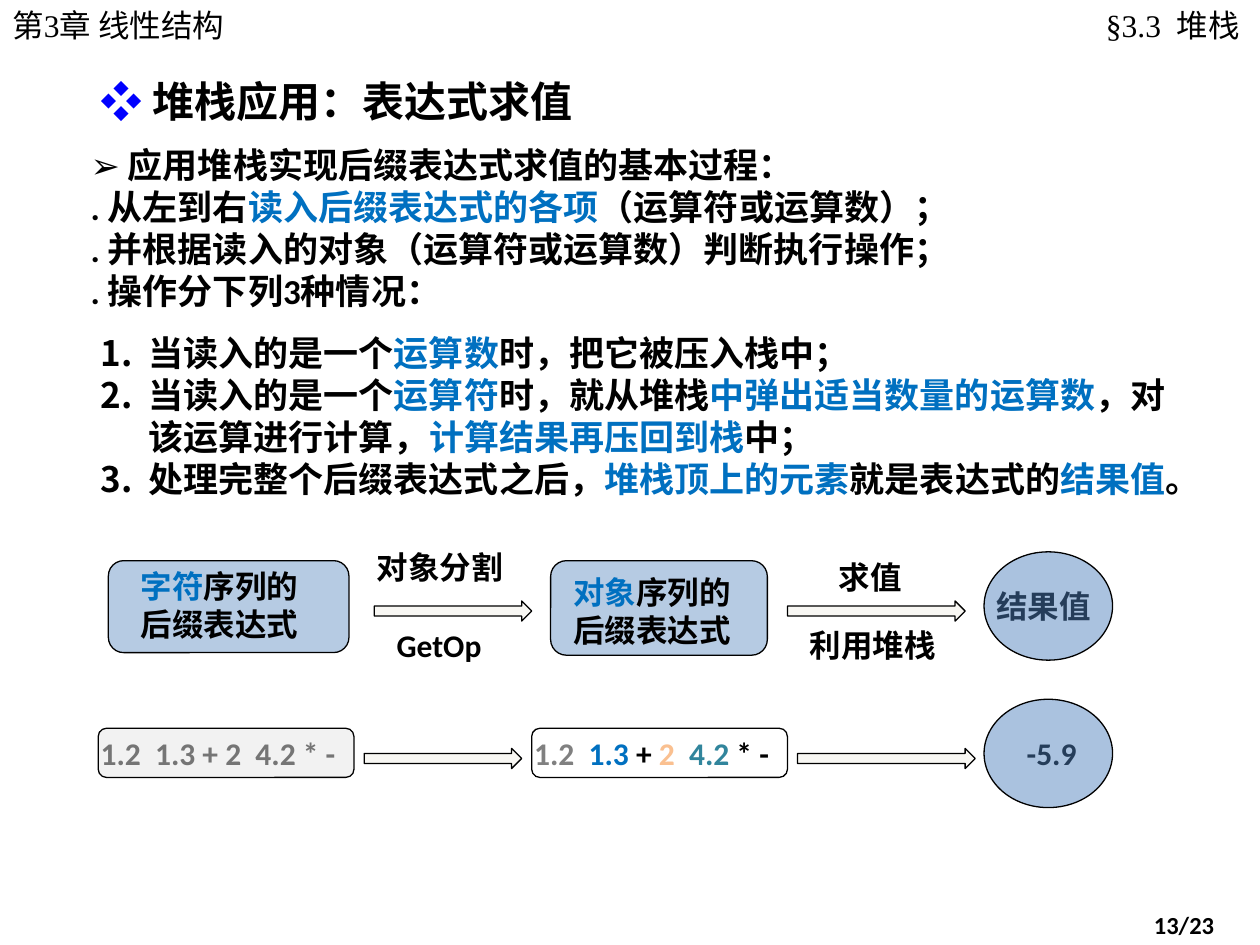
from lxml.etree import SubElement
from pptx import Presentation
from pptx.dml.color import RGBColor
from pptx.enum.shapes import MSO_SHAPE
from pptx.enum.text import MSO_ANCHOR, MSO_AUTO_SIZE, PP_ALIGN
from pptx.oxml.ns import qn
from pptx.util import Inches, Pt

COLORS = {
    "black": "000000", "bullet": "0000FF", "key": "0070C0", "gray": "808080",
    "peach": "FAC090", "teal": "31859C", "steel": "4F81BD", "arrow": "F8F7F3",
    "pale": "E6E6E6",
}

CHAPTER = "第3章 线性结构"
SECTION = "§3.3  堆栈"
PAGE_NUMBER = "13/23"
TITLE = [[("❖ ", "bullet"), "堆栈应用：表达式求值"]]
PROCESS = [
    ["➢ 应用堆栈实现后缀表达式求值的基本过程："],
    [". 从左到右", ("读入后缀表达式的各项", "key"), "（运算符或运算数）；"],
    [". 并根据读入的对象（运算符或运算数）判断执行操作；"],
    [". 操作分下列3种情况："],
]
CASES = [
    ["当读入的是一个", ("运算数", "key"), "时，把它被压入栈中；"],
    ["当读入的是一个", ("运算符", "key"), "时，就从堆栈",
     ("中弹出适当数量的运算数", "key"), "，对该运算进行计算，",
     ("计算结果再压回到栈", "key"), "中；"],
    ["处理完整个后缀表达式之后，", ("堆栈顶上的元素", "key"), "就是表达式的",
     ("结果值", "key"), "。"],
]
STAGES = [
    ((0.86, 4.45, 1.91, 0.73), (1.02, 4.45, 1.64, 0.71), "字符"),
    ((4.37, 4.45, 1.72, 0.75), (4.45, 4.5, 1.54, 0.71), "对象"),
]
STEPS = [
    ("对象分割", 2.89, 4.3, 1.21),
    ("GetOp", 3.05, 4.92, 0.93),
    ("求值", 6.56, 4.38, 0.71),
    ("利用堆栈", 6.33, 4.92, 1.21),
]
ARROWS = [(2.97, 4.77, 1.25), (6.25, 4.77, 1.41), (2.89, 5.94, 1.25), (6.33, 5.94, 1.41)]
RESULTS = [("结果值", 7.81, 4.61, 0.96, 4.38), ("-5.9", 8.05, 5.78, 0.6, 5.55)]
PLAIN_TOKENS = "1.2  1.3 + 2  4.2 * -"
COLORED_TOKENS = [[("1.2  ", "gray"), ("1.3", "key"), " + ", ("2  ", "peach"),
                   ("4.2", "teal"), " * -"]]
EXAMPLES = [(0.78, PLAIN_TOKENS, "pale", 51), (4.22, COLORED_TOKENS, None, 100)]


def rgb(name):
    """Look up a named colour."""
    return RGBColor.from_string(COLORS[name])


def add_text(page, content, at, size=18, font="Calibri", bold=True, wrap=True,
             align=PP_ALIGN.LEFT, numbered=False, insets=(0.1, 0.1)):
    """Add a text box from a string or a list of paragraphs of spans."""
    box = page.shapes.add_textbox(*map(Inches, at))
    frame = box.text_frame
    frame.word_wrap = wrap
    frame.auto_size = MSO_AUTO_SIZE.SHAPE_TO_FIT_TEXT
    frame.vertical_anchor = MSO_ANCHOR.TOP
    frame.margin_left, frame.margin_right = map(Inches, insets)
    paragraphs = [[content]] if isinstance(content, str) else content
    for index, spans in enumerate(paragraphs):
        para = frame.add_paragraph() if index else frame.paragraphs[0]
        para.alignment = align
        if numbered:
            properties = para._p.get_or_add_pPr()
            properties.set("marL", str(Inches(0.38)))
            properties.set("indent", str(Inches(-0.38)))
            SubElement(properties, qn("a:buFont"), typeface="+mj-lt")
            SubElement(properties, qn("a:buAutoNum"), type="arabicPeriod")
        for item in spans:
            text, color = (item, "black") if isinstance(item, str) else item
            span = para.add_run()
            span.text = text
            span.font.size = Pt(size)
            span.font.name = font
            span.font.bold = bold
            span.font.color.rgb = rgb(color)
    return box


def add_outline(page, preset, at, fill=None, opacity=100):
    """Add a thin black outlined shape with an optional see-through fill."""
    shape = page.shapes.add_shape(preset, *map(Inches, at))
    shape.shadow.inherit = False
    shape.line.color.rgb = rgb("black")
    shape.line.width = Pt(0.75)
    if fill is None:
        shape.fill.background()
        return shape
    shape.fill.solid()
    shape.fill.fore_color.rgb = rgb(fill)
    if opacity < 100:
        color = shape._element.spPr.find(qn("a:solidFill")).find(qn("a:srgbClr"))
        SubElement(color, qn("a:alpha"), val=str(opacity * 1000))
    return shape


def main():
    """Build the slide on evaluating postfix expressions with a stack."""
    deck = Presentation()
    deck.slide_width, deck.slide_height = Inches(10), Inches(7.5)
    page = deck.slides.add_slide(deck.slide_layouts[6])

    header = {"font": "Times New Roman", "bold": False}
    add_text(page, TITLE, (0.7, 0.55, 3.97, 0.5), size=24, wrap=False)
    add_text(page, CHAPTER, (0, 0, 2.09, 0.4), **header)
    add_text(page, SECTION, (8.47, 0, 1.53, 0.4), align=PP_ALIGN.RIGHT,
             insets=(0.12, 0.16), **header)
    add_text(page, PROCESS, (0.62, 1.09, 6.95, 1.45), size=20)
    add_text(page, CASES, (0.7, 2.58, 8.75, 1.45), size=20, numbered=True)

    for frame_at, text_at, subject in STAGES:
        add_outline(page, MSO_SHAPE.ROUNDED_RECTANGLE, frame_at, "steel", 41)
        add_text(page, [[(subject, "key"), "序列的"], ["后缀表达式"]], text_at)
    for left, top, width in ARROWS:
        add_outline(page, MSO_SHAPE.RIGHT_ARROW, (left, top, width, 0.16), "arrow")
    for label, left, top, width in STEPS:
        add_text(page, label, (left, top, width, 0.4), wrap=False)
    for left, tokens, fill, opacity in EXAMPLES:
        add_text(page, tokens, (left - 0.08, 5.78, 2.19, 0.4))
        add_outline(page, MSO_SHAPE.ROUNDED_RECTANGLE, (left, 5.78, 2.03, 0.39), fill, opacity)
    for value, left, top, width, circle_top in RESULTS:
        add_text(page, value, (left, top, width, 0.4), wrap=False)
        add_outline(page, MSO_SHAPE.OVAL, (7.81, circle_top, 1.02, 0.86), "steel", 48)

    add_text(page, PAGE_NUMBER, (9.06, 7.17, 0.94, 0.33), size=14)
    deck.save("out.pptx")


if __name__ == "__main__":
    main()
